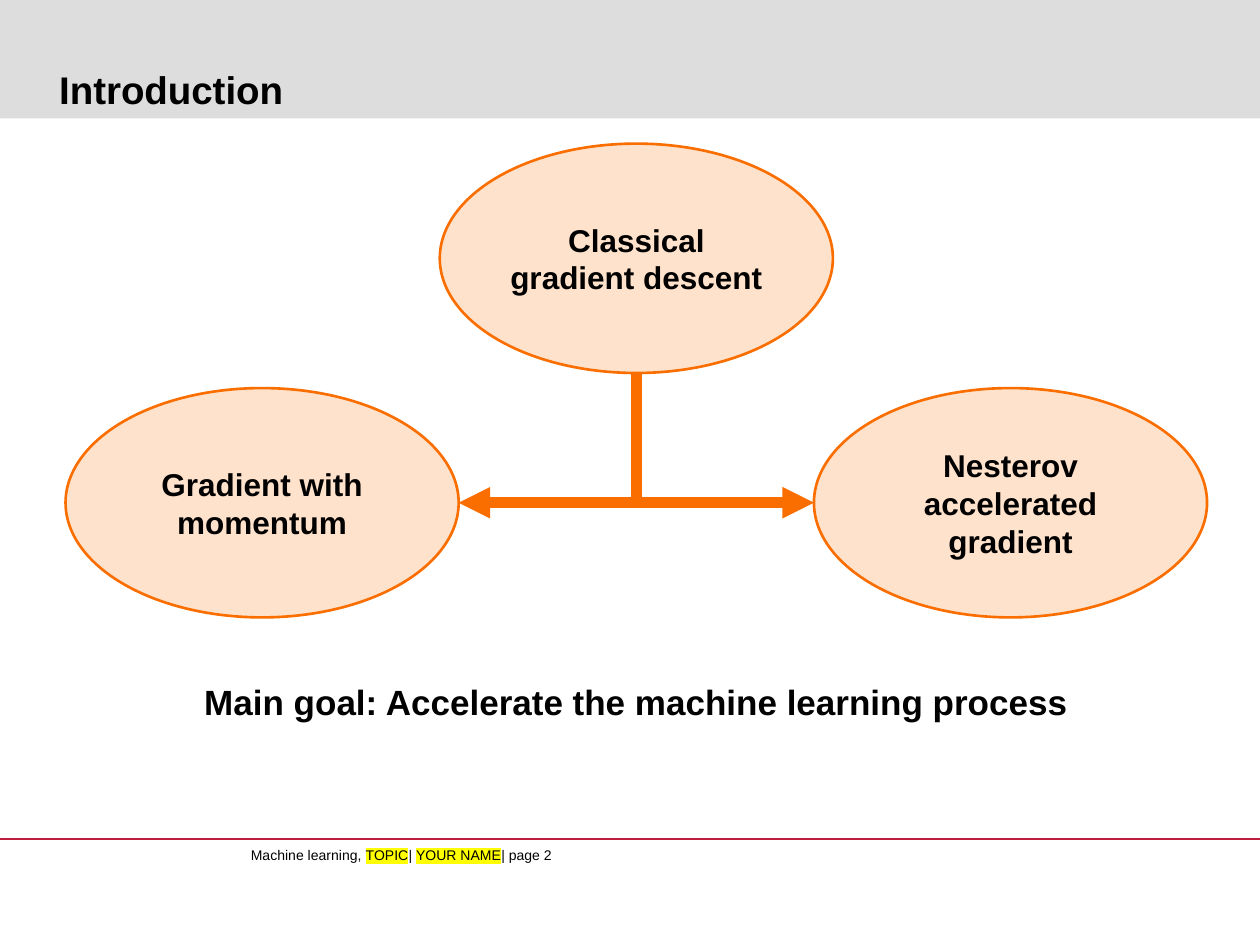
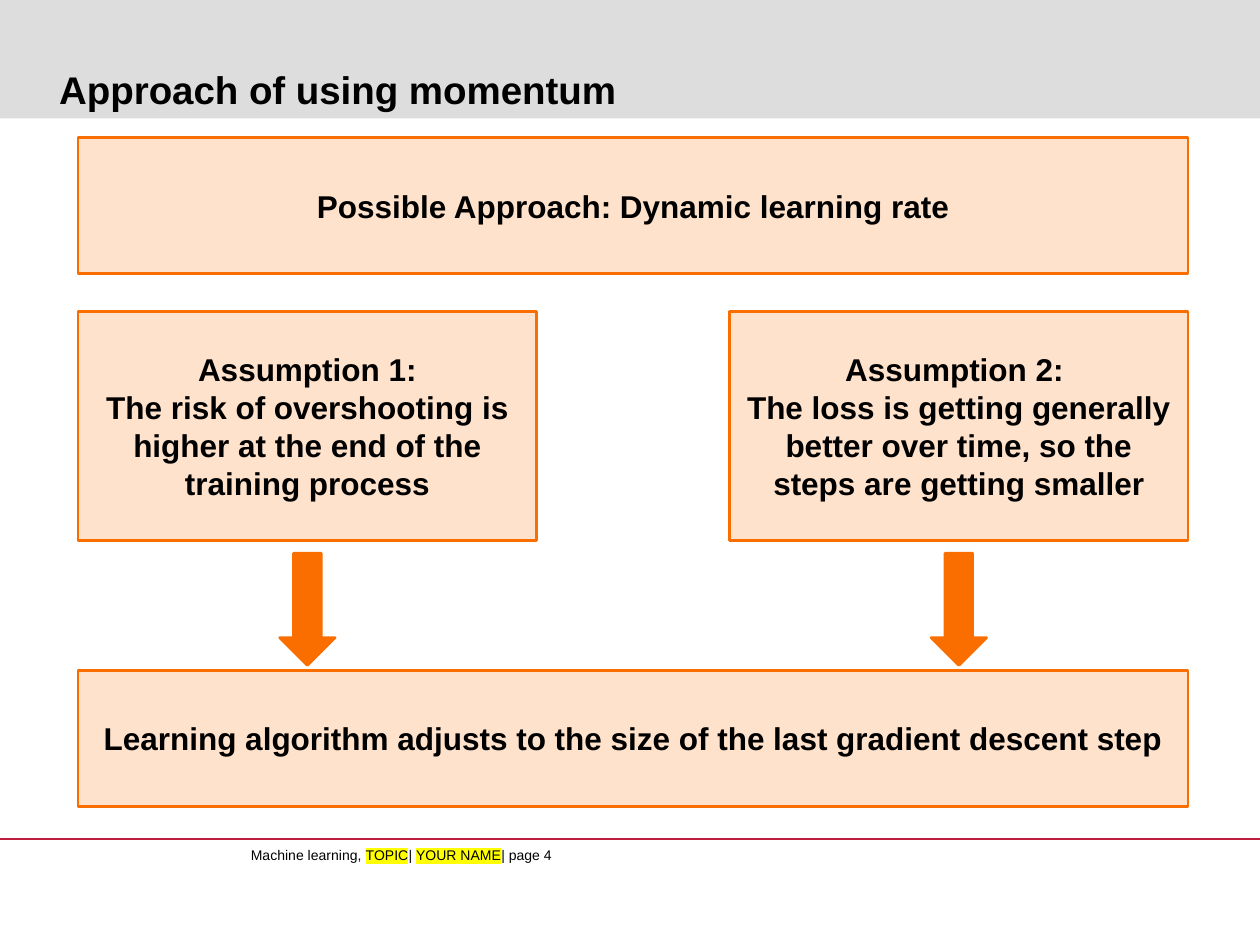
import pptx
import pptx.util
import pptx.dml.color
import pptx.enum.shapes
import pptx.enum.text
import lxml.etree

Inches = pptx.util.Inches
Pt = pptx.util.Pt
RGB = pptx.dml.color.RGBColor.from_string
SHAPE = pptx.enum.shapes.MSO_SHAPE
ALIGN = pptx.enum.text.PP_ALIGN
ANCHOR = pptx.enum.text.MSO_ANCHOR
NS = "http://schemas.openxmlformats.org/drawingml/2006/main"

COLORS = {"band": "DDDDDD", "rule": "BE1E3C", "text": "000000", "mark": "FFFF00",
          "fill": "FFE2CB", "accent": "FA6E00"}
MARGINS = ("margin_left", "margin_top", "margin_right", "margin_bottom")
TITLE = {"size": Pt(22), "bold": True, "name": "Arial"}
GOAL = {"size": Pt(20), "bold": True, "name": "Arial"}
LABEL = {"size": Pt(18), "bold": True, "name": "Arial"}
FOOTER = {"size": Pt(8), "bold": False, "name": "Arial"}


def write(sp, paragraphs, font, align, anchor, inset=True, wrap=True):
    tf = sp.text_frame
    tf.word_wrap = wrap
    tf.vertical_anchor = anchor
    if not inset:
        for margin in MARGINS:
            setattr(tf, margin, 0)
    for i, runs in enumerate(paragraphs):
        p = tf.add_paragraph() if i else tf.paragraphs[0]
        p.alignment = align
        for text, marked in runs:
            r = p.add_run()
            r.text = text
            r.font.color.rgb = RGB(COLORS["text"])
            if marked:
                mark = lxml.etree.SubElement(r.font._element, f"{{{NS}}}highlight")
                lxml.etree.SubElement(mark, f"{{{NS}}}srgbClr", val=COLORS["mark"])
            for key, value in font.items():
                setattr(r.font, key, value)


def add(s, kind, box, fill, line=None, width=1.5):
    if kind == "line":
        x1, y1, x2, y2 = map(Inches, box)
        sp = s.shapes.add_connector(pptx.enum.shapes.MSO_CONNECTOR.STRAIGHT, x1, y1, x2, y2)
        lxml.etree.SubElement(sp._element.spPr, f"{{{NS}}}effectLst")
    else:
        sp = s.shapes.add_shape(kind, *map(Inches, box))
        sp.shadow.inherit = False
        sp.fill.solid()
        sp.fill.fore_color.rgb = RGB(COLORS[fill])
    if line:
        sp.line.color.rgb = RGB(COLORS[line])
        sp.line.width = Pt(width)
    else:
        sp.line.fill.background()
    return sp


prs = pptx.Presentation()
prs.slide_width = Inches(10)
prs.slide_height = Inches(7.5)

slides = []
for title, page in (("Introduction", 2), ("Approach of using momentum", 4)):
    s = prs.slides.add_slide(prs.slide_layouts[6])
    add(s, SHAPE.RECTANGLE, (0, 0, 10, 0.94), "band")
    add(s, "line", (0, 6.66, 10, 6.66), None, "rule", 0.75)
    footer = s.shapes.add_textbox(Inches(1.99), Inches(6.72), Inches(2.49), Inches(0.27))
    write(footer, [[("Machine learning, ", False), ("TOPIC", True), ("| ", False),
                    ("YOUR NAME", True), (f"| page {page}", False)]],
          FOOTER, ALIGN.LEFT, ANCHOR.TOP, inset=False, wrap=False)
    heading = s.shapes.add_textbox(Inches(0.47), Inches(0.12), Inches(9.16), Inches(0.77))
    write(heading, [[(title, False)]], TITLE, ALIGN.LEFT, ANCHOR.BOTTOM, inset=False)
    slides.append(s)

intro, approach = slides

goal = intro.shapes.add_textbox(Inches(0.47), Inches(4.78), Inches(9.16), Inches(1.58))
write(goal, [[("Main goal: Accelerate the machine learning process", False)]],
      GOAL, ALIGN.CENTER, ANCHOR.MIDDLE, inset=False)

oval_w, oval_h = 3.12, 1.82
center_x, top_y, low_y = 5.05, 1.14, 3.08
spread = 2.97
for text, x, y in (("Gradient with momentum", center_x - spread, low_y),
                   ("Nesterov accelerated gradient", center_x + spread, low_y),
                   ("Classical gradient descent", center_x, top_y)):
    sp = add(intro, SHAPE.OVAL, (x - oval_w / 2, y, oval_w, oval_h), "fill", "accent")
    write(sp, [[(text, False)]], LABEL, ALIGN.CENTER, ANCHOR.MIDDLE)

fork_y = low_y + oval_h / 2
reach = spread - oval_w / 2
add(intro, "line", (center_x, top_y + oval_h, center_x, fork_y), None, "accent", 6)
for side in (-1, 1):
    arrow = add(intro, "line", (center_x, fork_y, center_x + side * reach, fork_y),
                None, "accent", 6)
    lxml.etree.SubElement(arrow.line._get_or_add_ln(), f"{{{NS}}}tailEnd", type="triangle")

left, full_w, bar_h = 0.62, 8.81, 1.08
half_w, half_h = 3.64, 1.82
right = left + full_w - half_w
for box, lines in (
    ((left, 1.09, full_w, bar_h), ["Possible Approach: Dynamic learning rate"]),
    ((left, 2.47, half_w, half_h),
     ["Assumption 1:",
      "The risk of overshooting is higher at the end of the training process"]),
    ((right, 2.47, half_w, half_h),
     ["Assumption 2: ",
      "The loss is getting generally better over time, so the steps are getting smaller"]),
    ((left, 5.32, full_w, bar_h),
     ["Learning algorithm adjusts to the size of the last gradient descent step"]),
):
    sp = add(approach, SHAPE.RECTANGLE, box, "fill", "accent")
    write(sp, [[(line, False)] for line in lines], LABEL, ALIGN.CENTER, ANCHOR.MIDDLE)

arrow_w = 0.44
for x in (left, right):
    add(approach, SHAPE.DOWN_ARROW, (x + (half_w - arrow_w) / 2, 4.39, arrow_w, 0.89),
        "accent", "accent")

prs.save("out.pptx")
